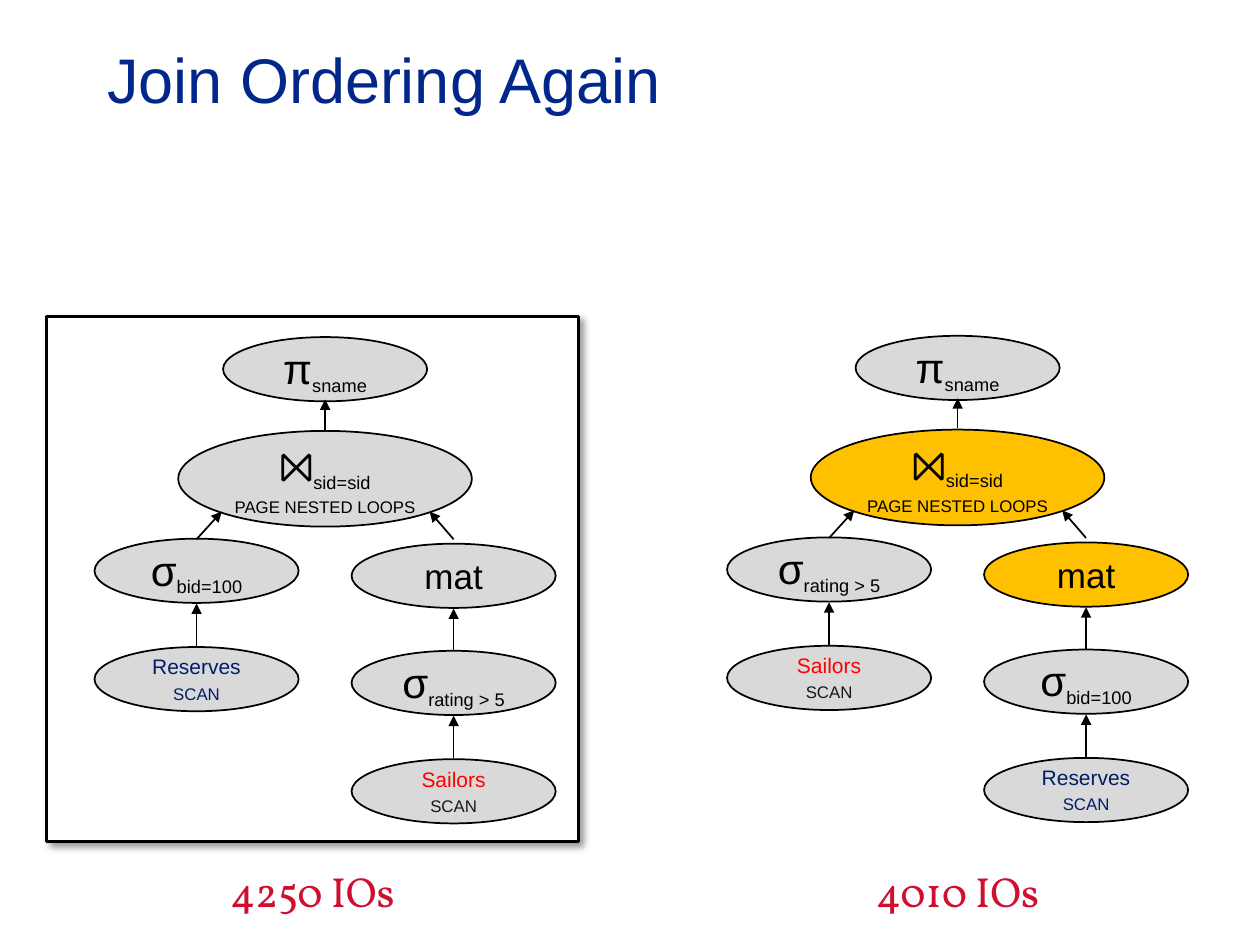
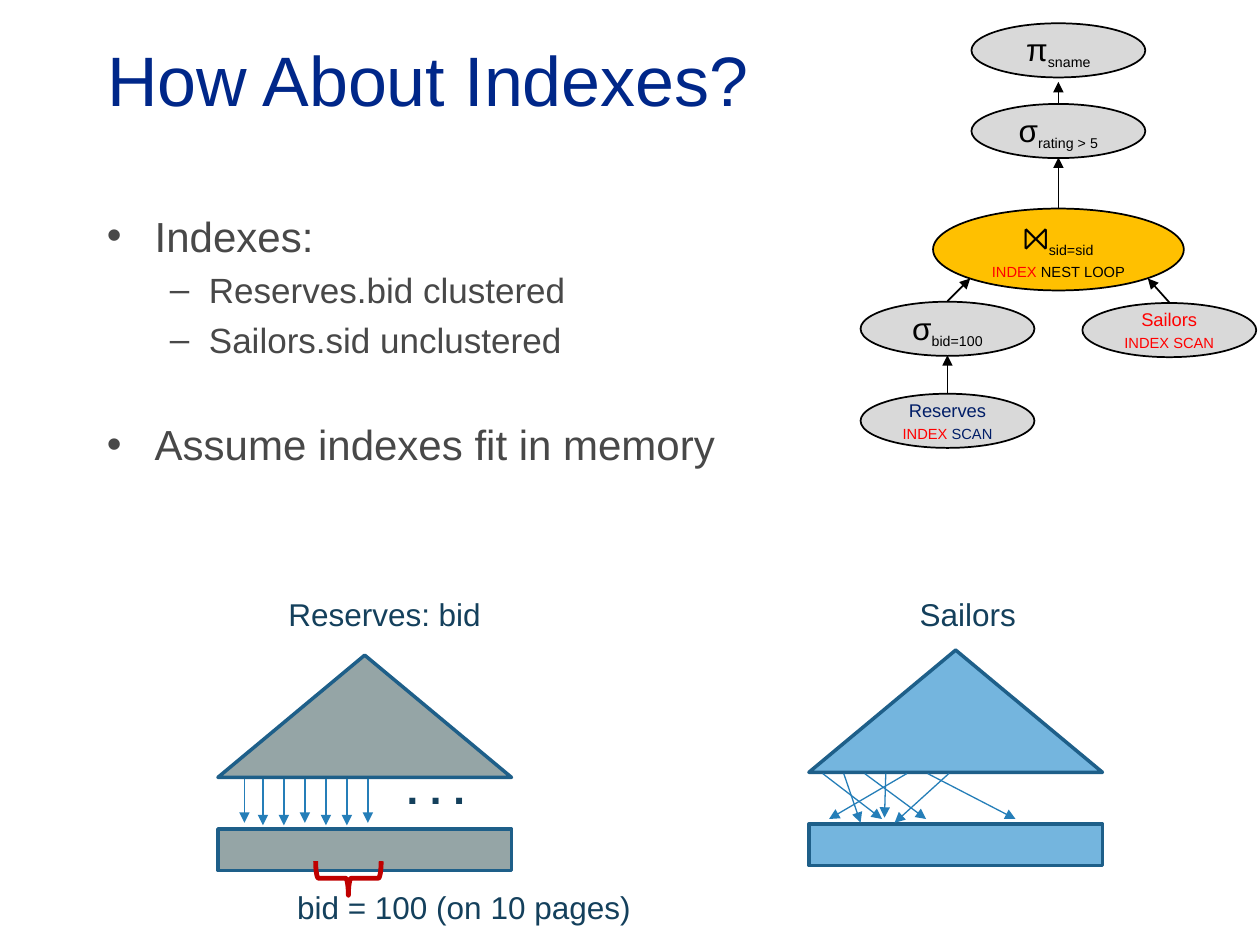
from lxml.etree import SubElement as Sub
from pptx import Presentation
from pptx.dml.color import RGBColor as Rgb
from pptx.enum.shapes import MSO_CONNECTOR as Link, MSO_SHAPE as Form
from pptx.enum.text import MSO_ANCHOR as Anchor, MSO_AUTO_SIZE as Fit, PP_ALIGN as Align
from pptx.oxml.ns import qn
from pptx.util import Inches, Pt

HUES = {
    "title": "002789", "body": "484848", "black": "000000", "white": "FFFFFF",
    "node": "D9D9D9", "gold": "FFC000", "navy": "001D67", "red": "FF0000",
    "dark": "181818", "cost": "CF0E30", "label": "14405C", "edge": "1E5F89",
    "arrow": "257EB8", "gray": "95A5A6", "blue": "74B5DE", "brace": "C00000",
}
COLS, ROWS = 10, 7.5

# Node styles: oval and join sizes in grid units, then text sizes in points
LARGE = {"oval": (1.62, 0.51), "join": (2.33, 0.76), "sign": 24, "sub": 18, "note": 12}
SMALL = {"oval": (1.38, 0.43), "join": (1.99, 0.65), "sign": 18, "sub": 14, "note": 10.5}


def hue(name):
    return Rgb.from_string(HUES[name])


class Deck:
    def __init__(self):
        self.prs = Presentation()
        self.prs.slide_width, self.prs.slide_height = Inches(10), Inches(7.5)
        self.col = self.prs.slide_width / COLS
        self.row = self.prs.slide_height / ROWS
        self.font = "Arial"
        self.slide = None

    def spot(self, x, y):
        return round(x * self.col), round(y * self.row)

    def run(self, par, text, size, tint, kind="", font=None, bold=False):
        part = par.add_run()
        part.text = text
        part.font.name = font or self.font
        part.font.size = Pt(size)
        part.font.bold = bold
        part.font.color.rgb = hue(tint)
        if kind == "sub":
            part._r.get_or_add_rPr().set("baseline", "-25000")
        elif kind == "caps":
            part._r.get_or_add_rPr().set("cap", "small")

    def page(self, title, size):
        self.slide = self.prs.slides.add_slide(self.prs.slide_layouts[5])
        head = self.slide.shapes.title
        head.left, head.top = self.spot(0.75, 0)
        head.width, head.height = self.spot(8.5, 1.25)
        frame = head.text_frame
        frame.auto_size = Fit.NONE
        frame.vertical_anchor = Anchor.MIDDLE
        frame.paragraphs[0].alignment = Align.LEFT
        self.run(frame.paragraphs[0], title, size, "title")

    def text(self, x, y, w, h, words, size=18, tint="label", align=Align.LEFT, **look):
        frame = self.slide.shapes.add_textbox(*self.spot(x, y), *self.spot(w, h)).text_frame
        frame.word_wrap = False
        frame.vertical_anchor = Anchor.MIDDLE
        frame.paragraphs[0].alignment = align
        self.run(frame.paragraphs[0], words, size, tint, **look)

    def list(self, x, y, w, h, items):
        frame = self.slide.shapes.add_textbox(*self.spot(x, y), *self.spot(w, h)).text_frame
        frame.word_wrap = True
        for i, (words, deep, gap) in enumerate(items):
            par = frame.add_paragraph() if i else frame.paragraphs[0]
            par.level = deep
            par.space_before = Pt(gap)
            left, hang, mark, size = ((0.38, 0.38, "•", 24), (0.81, 0.31, "–", 20))[deep]
            props = par._p.get_or_add_pPr()
            props.set("marL", str(Inches(left)))
            props.set("indent", str(-Inches(hang)))
            Sub(props, qn("a:buFont"), typeface=self.font)
            Sub(props, qn("a:buChar"), char=mark)
            self.run(par, words, size, "body")

    def shape(self, form, x, y, w, h, fill, line="black", wide=1):
        item = self.slide.shapes.add_shape(form, *self.spot(x, y), *self.spot(w, h))
        item.shadow.inherit = False
        if fill:
            item.fill.solid()
            item.fill.fore_color.rgb = hue(fill)
        else:
            item.fill.background()
        item.line.color.rgb = hue(line)
        item.line.width = Pt(wide)
        return item

    def frame(self, x, y, w, h):
        item = self.shape(Form.RECTANGLE, x, y, w, h, "white", wide=1.5)
        glow = Sub(item._element.spPr.find(qn("a:effectLst")), qn("a:outerShdw"),
                   blurRad=str(Pt(4)), dist=str(Pt(3)), dir=str(45 * 60000),
                   algn="tl", rotWithShape="0")
        tint = Sub(glow, qn("a:srgbClr"), val=HUES["black"])
        Sub(tint, qn("a:alpha"), val="40000")

    def node(self, x, y, rows, style, fill="node", size="oval"):
        """Draw an oval centred on x, y; each row is a list of runs."""
        w, h = style[size]
        frame = self.shape(Form.OVAL, x - w / 2, y - h / 2, w, h, fill).text_frame
        frame.word_wrap = True
        frame.margin_left = frame.margin_right = 0
        frame.vertical_anchor = Anchor.MIDDLE
        for i, runs in enumerate(rows):
            par = frame.add_paragraph() if i else frame.paragraphs[0]
            par.alignment = Align.CENTER
            for part in runs:
                self.run(par, *part)

    def arrow(self, x1, y1, x2, y2, tint="black", wide=1):
        item = self.slide.shapes.add_connector(
            Link.STRAIGHT, *self.spot(x1, y1), *self.spot(x2, y2))
        item.line.color.rgb = hue(tint)
        item.line.width = Pt(wide)
        Sub(item.line._get_or_add_ln(), qn("a:tailEnd"), type="triangle")
        Sub(item._element.spPr, qn("a:effectLst"))


# Rows of text for the plan nodes
def sign(mark, sub, style):
    return [[(mark, style["sign"], "black"), (sub, style["sub"], "black", "sub")]]


def scan(name, tint, style, *notes):
    size = style["note"]
    return [[(name, size, tint)], [(word, size, shade, "caps") for word, shade in notes]]


def join(style, *notes):
    return sign("⨝", "sid=sid", style) + [
        [(word, style["note"], shade, "caps") for word, shade in notes]]


def plan(deck, x, y, near, far, fill):
    """Draw a join plan around the middle line x; near and far are (filter, table) pairs."""
    left, right = x - 1.02, x + 1.02
    deck.node(x, y, sign("π", "sname", LARGE), LARGE)
    deck.node(x, y + 0.87, join(LARGE, ("page nested loops", "black")), LARGE, fill, "join")
    deck.node(right, y + 1.64, [[("mat", 20, "black")]], LARGE, fill)
    for at, top, (test, table) in ((left, y + 1.6, near), (right, y + 2.49, far)):
        deck.node(at, top, sign("σ", test, LARGE), LARGE)
        deck.node(at, top + 0.86, table, LARGE)
        deck.arrow(at, top + 0.6, at, top + 0.26)
    deck.arrow(right, y + 2.23, right, y + 1.9)
    deck.arrow(right, y + 1.35, x + 0.83, y + 1.13)
    deck.arrow(left, y + 1.35, x - 0.82, y + 1.13)
    deck.arrow(x, y + 0.48, x, y + 0.24)


def index(deck, x, y, fill):
    deck.shape(Form.ISOSCELES_TRIANGLE, x, y, 2.33, 0.97, fill, "edge", 2)
    deck.shape(Form.RECTANGLE, x, y + 1.38, 2.33, 0.33, fill, "edge", 2)


def orders(deck):
    deck.page("Join Ordering Again", 36)
    boats = ("bid=100", scan("Reserves", "navy", LARGE, ("scan", "navy")))
    crew = ("rating > 5", scan("Sailors", "red", LARGE, ("scan", "dark")))
    deck.frame(0.37, 2.51, 4.22, 4.17)
    plan(deck, 2.58, 2.93, boats, crew, "node")
    plan(deck, 7.6, 2.92, crew, boats, "gold")
    for x, cost in ((1.44, "4250 IOs"), (6.56, "4010 IOs")):
        deck.text(x, 6.82, 2.08, 0.5, cost, 24, "cost", Align.CENTER, font="Vollkorn")


def lookups(deck):
    deck.page("How About Indexes?", 40)
    deck.list(0.75, 1.62, 8.5, 5.5, [
        ("Indexes:", 0, 0),
        ("Reserves.bid clustered", 1, 4.6),
        ("Sailors.sid unclustered", 1, 4.6),
        ("Assume indexes fit in memory", 0, 33),
    ])

    # Clustered index: parallel arrows
    index(deck, 1.73, 5.2, "gray")
    deck.text(2.19, 4.67, 1.74, 0.4, "Reserves: bid")
    for i in range(7):
        x = 1.92 + i / 6 if i else 1.94
        deck.arrow(x, 6.18, x, 6.55 if i % 3 else 6.53, "arrow", 0.75)
    deck.text(3.13, 6, 0.67, 0.5, ". . .", 24, bold=True)

    # Unclustered index: crossing arrows
    index(deck, 6.42, 5.16, "blue")
    deck.text(7.2, 4.67, 0.97, 0.4, "Sailors")
    ends = [(7, 6.5), (6.83, 6.53), (7.35, 6.5), (7.02, 6.49),
            (6.58, 6.5), (8.06, 6.5), (7.1, 6.53)]
    for i, end in enumerate(ends):
        deck.arrow(6.53 + i / 6, 6.14, *end, "arrow", 0.75)

    # Matching pages
    brace = deck.shape(Form.LEFT_BRACE, 2.63, 6.71, 0.27, 0.52, None, "brace", 2.75)
    brace.rotation = 270
    deck.text(2.26, 7, 2.86, 0.4, "bid = 100 (on 10 pages)")

    # Index plan
    left, mid, right = 7.52, 8.4, 9.28
    deck.node(mid, 0.4, sign("π", "sname", SMALL), SMALL)
    deck.node(mid, 1.04, sign("σ", "rating > 5", SMALL), SMALL)
    deck.node(mid, 1.98, join(SMALL, ("index ", "red"), ("nest loop", "black")),
              SMALL, "gold", "join")
    deck.node(left, 2.61, sign("σ", "bid=100", SMALL), SMALL)
    deck.node(right, 2.62, scan("Sailors", "red", SMALL, ("index scan", "red")), SMALL)
    deck.node(left, 3.34, scan("Reserves", "navy", SMALL, ("index ", "red"), ("scan", "navy")),
              SMALL)
    for ends in ((mid, 0.82, mid, 0.65), (mid, 1.66, mid, 1.25), (left, 2.39, 7.7, 2.21),
                 (right, 2.4, 9.11, 2.21), (left, 3.13, left, 2.82)):
        deck.arrow(*ends)


def main():
    deck = Deck()
    orders(deck)
    lookups(deck)
    deck.prs.save("out.pptx")


if __name__ == "__main__":
    main()
